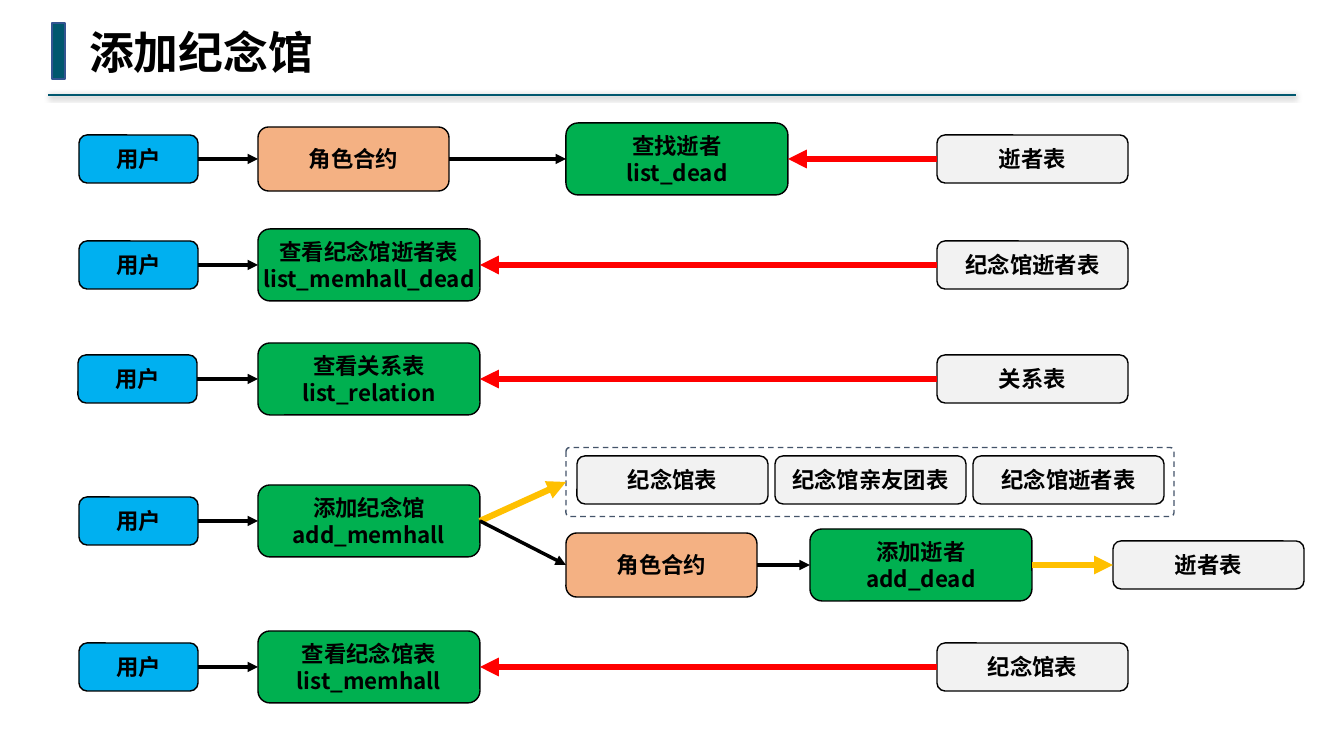
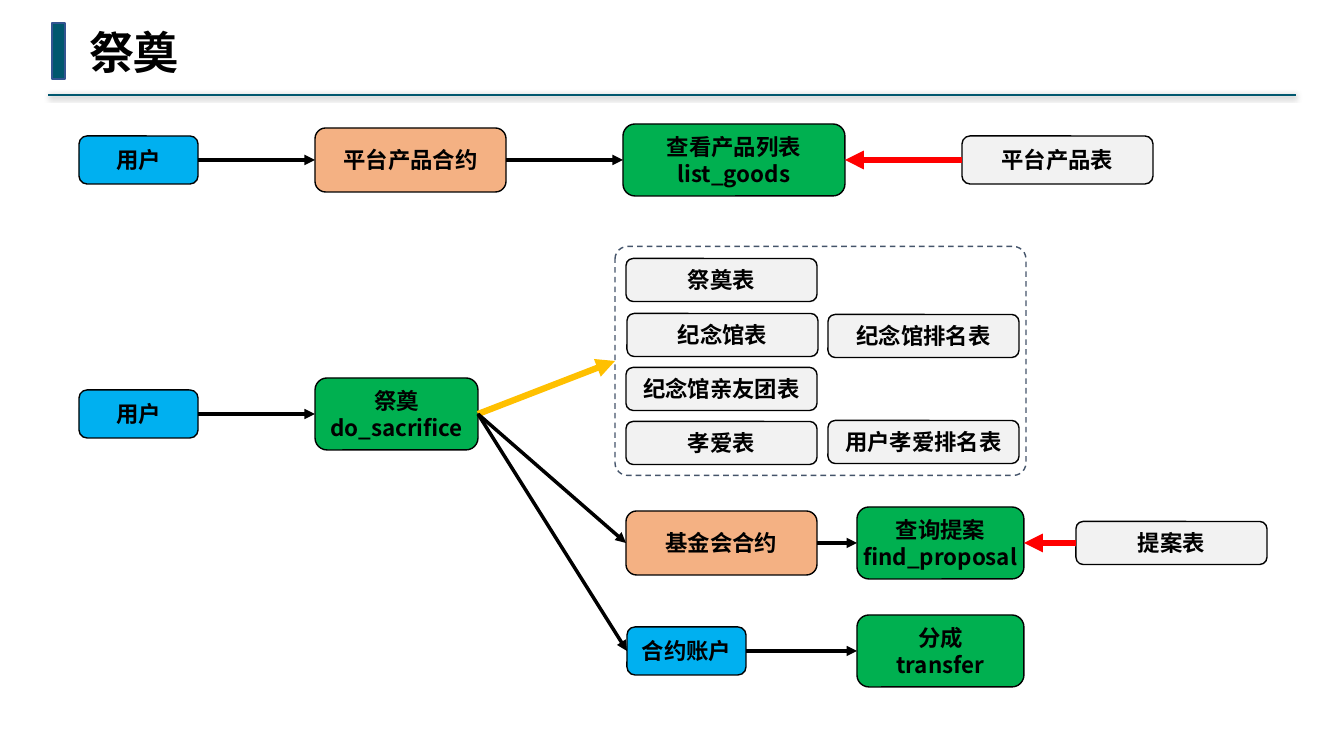
"""Build two flow-diagram slides about memorial hall contracts."""
from lxml.etree import SubElement
from pptx import Presentation
from pptx.dml.color import RGBColor
from pptx.enum.dml import MSO_LINE
from pptx.enum.shapes import MSO_CONNECTOR, MSO_SHAPE
from pptx.enum.text import MSO_ANCHOR, PP_ALIGN
from pptx.oxml.ns import qn
from pptx.util import Emu, Pt

BLACK = RGBColor(0x00, 0x00, 0x00)
TEAL = RGBColor(0x00, 0x57, 0x6E)
NAVY = RGBColor(0x32, 0x54, 0x91)
SLATE = RGBColor(0x44, 0x54, 0x6A)
BLUE = RGBColor(0x00, 0xB0, 0xF0)
GREEN = RGBColor(0x00, 0xB0, 0x50)
ORANGE = RGBColor(0xF4, 0xB1, 0x83)
GRAY = RGBColor(0xF2, 0xF2, 0xF2)
RED = RGBColor(0xFF, 0x00, 0x00)
GOLD = RGBColor(0xFF, 0xC0, 0x00)
TITLE_FONT = "DejaVu Sans Mono"
BODY_FONT = "Noto Sans CJK SC"

USER = (BLUE, 119, 48)
CONTRACT = (ORANGE, 191, 64)
FUNCTION = (GREEN, 222, 72)
SACRIFICE = (GREEN, 163, 72)
NARROW_FUNCTION = (GREEN, 167, 72)
TABLE = (GRAY, 191, 48)
SLIM_TABLE = (GRAY, 191, 43)
WIDE_FRAME = (None, 608, 69)
TALL_FRAME = (None, 411, 229)

CALL = (BLACK, 2.5, 3, 1)
READ = (RED, 4.5, 1, 3)
WRITE = (GOLD, 4.5, 3, 1)

ADD_HALL_BOXES = {
    "find user": (USER, "用户", 79, 159),
    "find role": (CONTRACT, "角色合约", 258, 159),
    "list dead": (FUNCTION, "查找逝者\nlist_dead", 566, 159),
    "dead": (TABLE, "逝者表", 937, 159),
    "hall dead user": (USER, "用户", 79, 265),
    "list hall dead": (FUNCTION, "查看纪念馆逝者表\nlist_memhall_dead", 258, 265),
    "hall dead": (TABLE, "纪念馆逝者表", 937, 265),
    "relation user": (USER, "用户", 78, 379),
    "list relation": (FUNCTION, "查看关系表\nlist_relation", 258, 379),
    "relation": (TABLE, "关系表", 937, 379),
    "add user": (USER, "用户", 79, 521),
    "add hall": (FUNCTION, "添加纪念馆\nadd_memhall", 258, 521),
    "written tables": (WIDE_FRAME, "", 566, 482),
    "written hall": (TABLE, "纪念馆表", 577, 480),
    "written family": (TABLE, "纪念馆亲友团表", 775, 480),
    "written dead": (TABLE, "纪念馆逝者表", 973, 480),
    "add role": (CONTRACT, "角色合约", 566, 565),
    "add dead": (FUNCTION, "添加逝者\nadd_dead", 810, 565),
    "added dead": (TABLE, "逝者表", 1113, 565),
    "hall user": (USER, "用户", 79, 667),
    "list hall": (FUNCTION, "查看纪念馆表\nlist_memhall", 258, 667),
    "hall": (TABLE, "纪念馆表", 937, 667),
}
ADD_HALL_ARROWS = [
    (CALL, "find user", "find role"),
    (CALL, "find role", "list dead"),
    (READ, "dead", "list dead"),
    (CALL, "hall dead user", "list hall dead"),
    (READ, "hall dead", "list hall dead"),
    (CALL, "relation user", "list relation"),
    (READ, "relation", "list relation"),
    (CALL, "add user", "add hall"),
    (WRITE, "add hall", "written tables"),
    (CALL, "add hall", "add role"),
    (CALL, "add role", "add dead"),
    (WRITE, "add dead", "added dead"),
    (CALL, "hall user", "list hall"),
    (READ, "hall", "list hall"),
]
SACRIFICE_BOXES = {
    "goods user": (USER, "用户", 79, 160),
    "goods contract": (CONTRACT, "平台产品合约", 315, 160),
    "list goods": (FUNCTION, "查看产品列表\nlist_goods", 623, 160),
    "goods": (TABLE, "平台产品表", 962, 160),
    "user": (USER, "用户", 79, 414),
    "sacrifice": (SACRIFICE, "祭奠\ndo_sacrifice", 315, 414),
    "written tables": (TALL_FRAME, "", 615, 361),
    "written sacrifice": (SLIM_TABLE, "祭奠表", 626, 280),
    "written hall": (SLIM_TABLE, "纪念馆表", 627, 335),
    "written family": (SLIM_TABLE, "纪念馆亲友团表", 626, 389),
    "written love": (SLIM_TABLE, "孝爱表", 626, 443),
    "hall ranking": (SLIM_TABLE, "纪念馆排名表", 828, 336),
    "love ranking": (SLIM_TABLE, "用户孝爱排名表", 828, 442),
    "foundation": (CONTRACT, "基金会合约", 626, 543),
    "find proposal": (NARROW_FUNCTION, "查询提案\nfind_proposal", 857, 543),
    "proposal": (SLIM_TABLE, "提案表", 1076, 543),
    "account": (USER, "合约账户", 627, 651),
    "transfer": (NARROW_FUNCTION, "分成\ntransfer", 857, 651),
}
SACRIFICE_ARROWS = [
    (CALL, "goods user", "goods contract"),
    (CALL, "goods contract", "list goods"),
    (READ, "goods", "list goods"),
    (CALL, "user", "sacrifice"),
    (WRITE, "sacrifice", "written tables"),
    (CALL, "sacrifice", "foundation"),
    (CALL, "foundation", "find proposal"),
    (READ, "proposal", "find proposal"),
    (CALL, "sacrifice", "account"),
    (CALL, "account", "transfer"),
]
PAGES = [
    ("添加纪念馆", ADD_HALL_BOXES, ADD_HALL_ARROWS),
    ("祭奠", SACRIFICE_BOXES, SACRIFICE_ARROWS),
]


def pixels(*lengths):
    """Turn pixel lengths into EMU."""
    return [Emu(round(length * 12192000 / 1344)) for length in lengths]


def style_text(frame, font_name, size, alignment):
    """Format every paragraph of an unwrapped, vertically centred frame."""
    frame.word_wrap = False
    frame.vertical_anchor = MSO_ANCHOR.MIDDLE
    for para in frame.paragraphs:
        para.alignment = alignment
        para.font.name = font_name
        para.font.size = Pt(size)
        para.font.bold = True
        para.font.color.rgb = BLACK
        SubElement(para.font._rPr, qn("a:ea"), typeface=BODY_FONT)


deck = Presentation()
deck.slide_width, deck.slide_height = pixels(1344, 756)

for heading, boxes, arrows in PAGES:
    page = deck.slides.add_slide(deck.slide_layouts[5])
    title = page.shapes.title
    title.left, title.top, title.width, title.height = pixels(79, 19, 600, 65)
    title.text_frame.text = heading
    style_text(title.text_frame, TITLE_FONT, 32, PP_ALIGN.LEFT)

    band = page.shapes.add_shape(MSO_SHAPE.RECTANGLE, *pixels(52, 23, 13, 56))
    band.shadow.inherit = False
    band.fill.solid()
    band.fill.fore_color.rgb = TEAL
    band.line.color.rgb = NAVY
    band.line.width = Pt(1)

    rule = page.shapes.add_connector(MSO_CONNECTOR.STRAIGHT, *pixels(1296, 95, 48, 95))
    rule.line.color.rgb = TEAL
    rule.line.width = Pt(1.5)
    effects = SubElement(rule._element.spPr, qn("a:effectLst"))
    shadow = SubElement(effects, qn("a:outerShdw"), blurRad="50800", dist="12700",
                        dir="5400000", rotWithShape="0")
    shadow_color = SubElement(shadow, qn("a:srgbClr"), val=str(BLACK))
    SubElement(shadow_color, qn("a:alpha"), val="40000")

    drawn = {}
    for name, ((fill, width, height), text, left, middle) in boxes.items():
        box = page.shapes.add_shape(
            MSO_SHAPE.ROUNDED_RECTANGLE,
            *pixels(left, middle - height / 2, width, height))
        box.shadow.inherit = False
        box.line.width = Pt(1)
        if fill is None:
            box.adjustments[0] = 0.055
            box.fill.background()
            box.line.color.rgb = SLATE
            box.line.dash_style = MSO_LINE.DASH
        else:
            box.fill.solid()
            box.fill.fore_color.rgb = fill
            box.line.color.rgb = BLACK
            frame = box.text_frame
            frame.margin_left, frame.margin_top = pixels(4, 4)
            frame.margin_right, frame.margin_bottom = pixels(4, 4)
            frame.text = text
            style_text(frame, BODY_FONT, 16, PP_ALIGN.CENTER)
        drawn[name] = box

    for (color, weight, start_side, end_side), start, end in arrows:
        arrow = page.shapes.add_connector(MSO_CONNECTOR.STRAIGHT, 0, 0, 0, 0)
        arrow.begin_connect(drawn[start], start_side)
        arrow.end_connect(drawn[end], end_side)
        arrow.line.color.rgb = color
        arrow.line.width = Pt(weight)
        SubElement(arrow.line._get_or_add_ln(), qn("a:tailEnd"), type="triangle")
        SubElement(arrow._element.spPr, qn("a:effectLst"))

deck.save("out.pptx")
